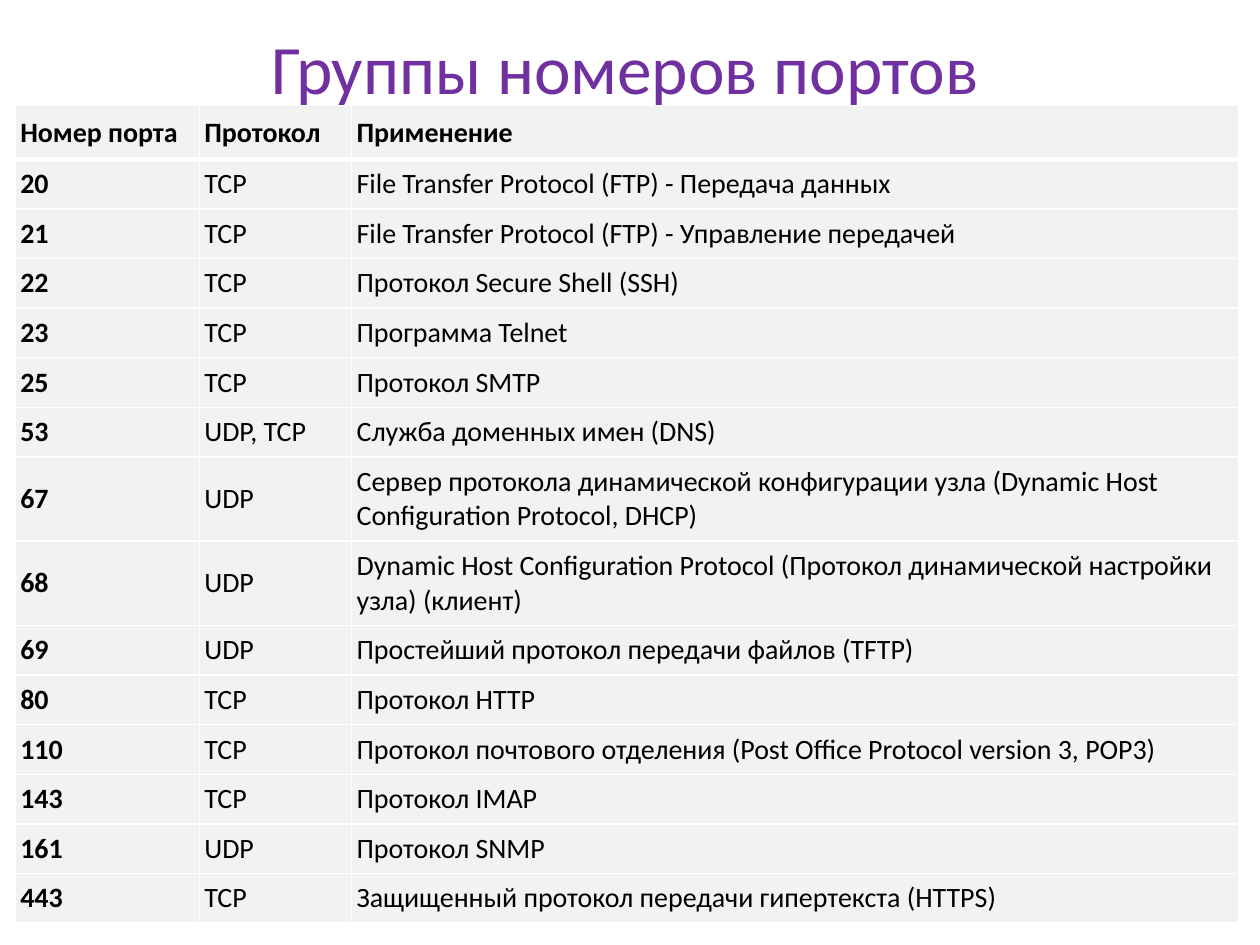
from dataclasses import dataclass

from lxml import etree
from pptx import Presentation
from pptx.dml.color import RGBColor
from pptx.enum.text import MSO_ANCHOR, PP_ALIGN
from pptx.oxml.ns import qn
from pptx.util import Cm, Pt

MIDDLE = MSO_ANCHOR.MIDDLE
LEFT, CENTER = PP_ALIGN.LEFT, PP_ALIGN.CENTER


@dataclass(frozen=True)
class Theme:
    font: str = "Calibri"
    title: str = "7030A0"
    ink: str = "000000"
    fill: str = "F2F2F2"
    rule: str = "FFFFFF"
    head_size: float = 39.6
    cell_size: float = 16
    thin: float = 1
    thick: float = 3


THEME = Theme()

HEADER = ("Номер порта", "Протокол", "Применение")
PORTS = [
    ("20", "TCP", "File Transfer Protocol (FTP) - Передача данных"),
    ("21", "TCP", "File Transfer Protocol (FTP) - Управление передачей"),
    ("22", "TCP", "Протокол Secure Shell (SSH)"),
    ("23", "TCP", "Программа Telnet"),
    ("25", "TCP", "Протокол SMTP"),
    ("53", "UDP, TCP", "Служба доменных имен (DNS)"),
    ("67", "UDP", "Сервер протокола динамической конфигурации узла "
                  "(Dynamic Host Configuration Protocol, DHCP)"),
    ("68", "UDP", "Dynamic Host Configuration Protocol "
                  "(Протокол динамической настройки узла) (клиент)"),
    ("69", "UDP", "Простейший протокол передачи файлов (TFTP)"),
    ("80", "TCP", "Протокол HTTP"),
    ("110", "TCP", "Протокол почтового отделения "
                   "(Post Office Protocol version 3, POP3)"),
    ("143", "TCP", "Протокол IMAP"),
    ("161", "UDP", "Протокол SNMP"),
    ("443", "TCP", "Защищенный протокол передачи гипертекста (HTTPS)"),
]
WIDTHS = (3.71, 3.07, 17.88)
HEAD_ROW, ROW, TALL_ROW = 1.08, 1.0, 1.7
TALL_PORTS = ("67", "68")


def write(frame, text, size=THEME.cell_size, color=THEME.ink, bold=False,
          align=LEFT):
    frame.word_wrap = True
    par = frame.paragraphs[0]
    par.alignment = align
    run = par.add_run()
    run.text = text
    font = run.font
    font.name, font.size, font.bold = THEME.font, Pt(size), bold
    font.color.rgb = RGBColor.from_string(color)


def add_title(slide, text):
    box = slide.shapes.add_textbox(Cm(0.5), Cm(0.35), Cm(24.2), Cm(1.98))
    box.text_frame.vertical_anchor = MIDDLE
    write(box.text_frame, text, size=THEME.head_size, color=THEME.title,
          align=CENTER)


def set_rules(cell, top, bottom):
    """Draw the four cell borders; call before the cell gets its fill."""
    props = cell._tc.get_or_add_tcPr()
    sides = {"L": THEME.thin, "R": THEME.thin, "T": top, "B": bottom}
    for side, width in sides.items():
        line = etree.SubElement(props, qn(f"a:ln{side}"), w=str(Pt(width)))
        fill = etree.SubElement(line, qn("a:solidFill"))
        etree.SubElement(fill, qn("a:srgbClr"), val=THEME.rule)


def fill_cell(cell, text, row, col):
    set_rules(cell,
              top=THEME.thick if row == 1 else THEME.thin,
              bottom=THEME.thick if row == 0 else THEME.thin)
    cell.fill.solid()
    cell.fill.fore_color.rgb = RGBColor.from_string(THEME.fill)
    cell.vertical_anchor = MIDDLE
    cell.margin_left = cell.margin_right = Cm(0.1)
    cell.margin_top = cell.margin_bottom = Cm(0.13)
    write(cell.text_frame, text, bold=row == 0 or col == 0)


def add_ports(slide):
    rows = [HEADER, *PORTS]
    heights = [HEAD_ROW] + [TALL_ROW if port[0] in TALL_PORTS else ROW
                            for port in PORTS]
    table = slide.shapes.add_table(
        len(rows), len(HEADER), Cm(0.31), Cm(2.13),
        Cm(sum(WIDTHS)), Cm(sum(heights))).table
    table.horz_banding = False
    for col, width in zip(table.columns, WIDTHS):
        col.width = Cm(width)
    for row, height in zip(table.rows, heights):
        row.height = Cm(height)
    for r, texts in enumerate(rows):
        for c, text in enumerate(texts):
            fill_cell(table.cell(r, c), text, r, c)


def main():
    deck = Presentation()
    deck.slide_width, deck.slide_height = Cm(25.4), Cm(19.05)
    slide = deck.slides.add_slide(deck.slide_layouts[6])
    add_title(slide, "Группы номеров портов")
    add_ports(slide)
    deck.save("out.pptx")


if __name__ == "__main__":
    main()
